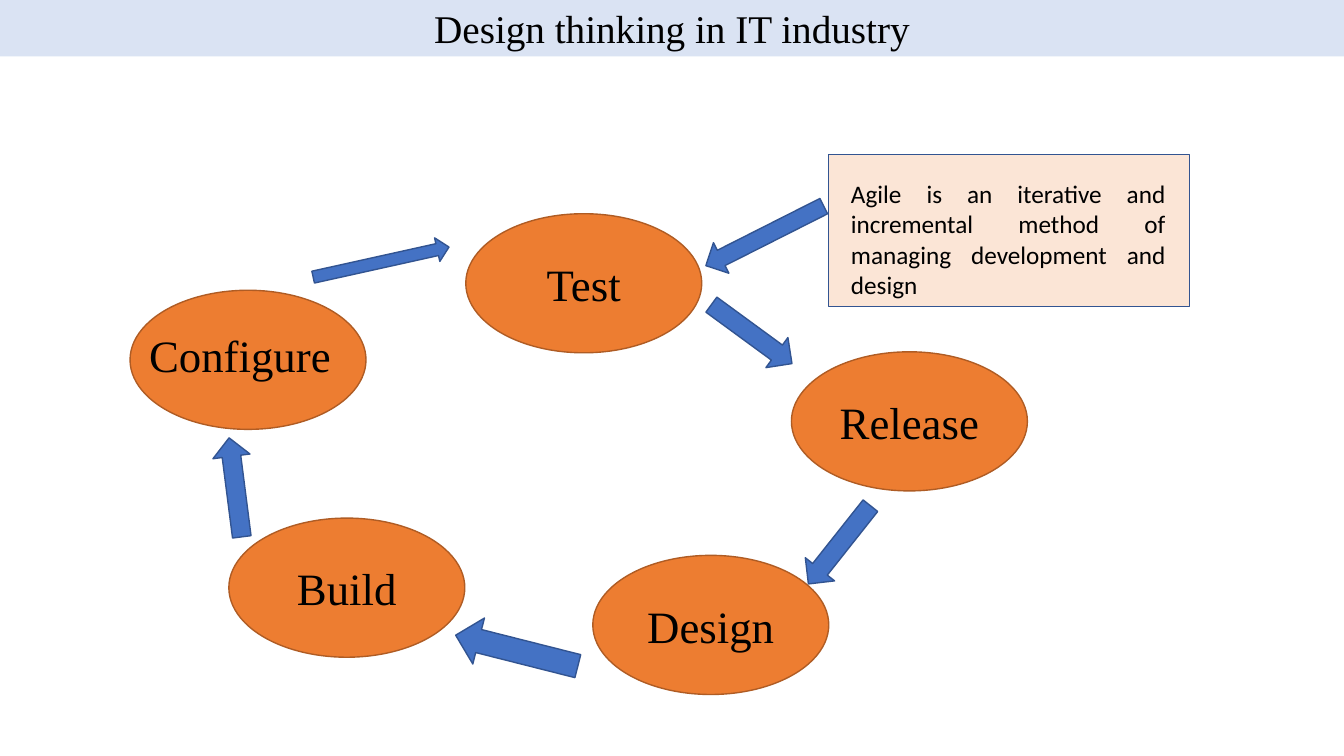
from pptx import Presentation
from pptx.dml.color import RGBColor
from pptx.enum.shapes import MSO_SHAPE as Shape
from pptx.enum.text import MSO_ANCHOR as Anchor, MSO_AUTO_SIZE as AutoSize, PP_ALIGN as Align
from pptx.util import Inches, Pt

BLACK = RGBColor(0x00, 0x00, 0x00)
PALE_BLUE = RGBColor(0xDA, 0xE3, 0xF3)
PEACH = RGBColor(0xFB, 0xE5, 0xD6)
ORANGE = RGBColor(0xED, 0x7D, 0x31)
DARK_ORANGE = RGBColor(0xAF, 0x5C, 0x24)
BLUE = RGBColor(0x44, 0x72, 0xC4)
DARK_BLUE = RGBColor(0x32, 0x54, 0x91)


def add_filled(shapes, kind, bounds, fill, outline):
    shape = shapes.add_shape(kind, *map(Inches, bounds))
    shape.shadow.inherit = False
    shape.fill.solid()
    shape.fill.fore_color.rgb = fill
    shape.line.color.rgb = outline
    shape.line.width = Pt(1)
    return shape


def write(shape, text, font, size, align):
    frame = shape.text_frame
    frame.word_wrap = True
    frame.auto_size = AutoSize.NONE
    frame.vertical_anchor = Anchor.TOP
    para = frame.paragraphs[0]
    para.alignment = align
    span = para.add_run()
    span.text = text
    span.font.name = font
    span.font.size = Pt(size)
    span.font.color.rgb = BLACK


deck = Presentation()
deck.slide_width, deck.slide_height = Inches(13.33), Inches(7.5)
page = deck.slides.add_slide(deck.slide_layouts[5])

title = page.shapes.title
title.left, title.top = Inches(0), Inches(0)
title.width, title.height = deck.slide_width, Inches(0.56)
title.fill.solid()
title.fill.fore_color.rgb = PALE_BLUE
title.text_frame.margin_top = Inches(0.04)
write(title, "Design thinking in IT industry", "Times New Roman", 28, Align.CENTER)

note = add_filled(page.shapes, Shape.RECTANGLE, (8.22, 1.53, 3.58, 1.51), PEACH, DARK_BLUE)
note.text_frame.margin_left = Inches(0.22)
note.text_frame.margin_right = Inches(0.24)
note.text_frame.margin_top = Inches(0.24)
write(note, "Agile is an iterative and incremental method of managing development and design",
      "Calibri", 18, Align.JUSTIFY)

# Stage name, ellipse left and top, then label offset and width
stages = [
    ("Test", 4.62, 2.12, 0.37, 0.38, 1.6),
    ("Release", 7.85, 3.49, 0.37, 0.38, 1.6),
    ("Design", 5.88, 5.51, 0.37, 0.38, 1.6),
    ("Build", 2.27, 5.14, 0.37, 0.37, 1.6),
    ("Configure", 1.29, 2.88, 0, 0.32, 2.18),
]
for name, left, top, label_dx, label_dy, label_width in stages:
    stage = page.shapes.add_group_shape()
    add_filled(stage.shapes, Shape.OVAL, (left, top, 2.34, 1.38), ORANGE, DARK_ORANGE)
    label = stage.shapes.add_textbox(Inches(left + label_dx), Inches(top + label_dy),
                                     Inches(label_width), Inches(0.64))
    write(label, name, "Times New Roman", 32, Align.CENTER)

# Left, top, width, height and rotation in degrees
arrows = [
    (6.96, 3.13, 0.99, 0.37, 36.2),
    (7.83, 5.22, 0.99, 0.37, 128.4),
    (4.5, 6.22, 1.25, 0.47, 194.2),
    (1.84, 4.65, 0.99, 0.37, 262.7),
    (3.09, 2.48, 1.38, 0.24, 347.5),
    (6.93, 2.17, 1.31, 0.34, 153.2),
]
for *bounds, angle in arrows:
    arrow = add_filled(page.shapes, Shape.RIGHT_ARROW, bounds, BLUE, DARK_BLUE)
    arrow.rotation = angle

deck.save("out.pptx")
